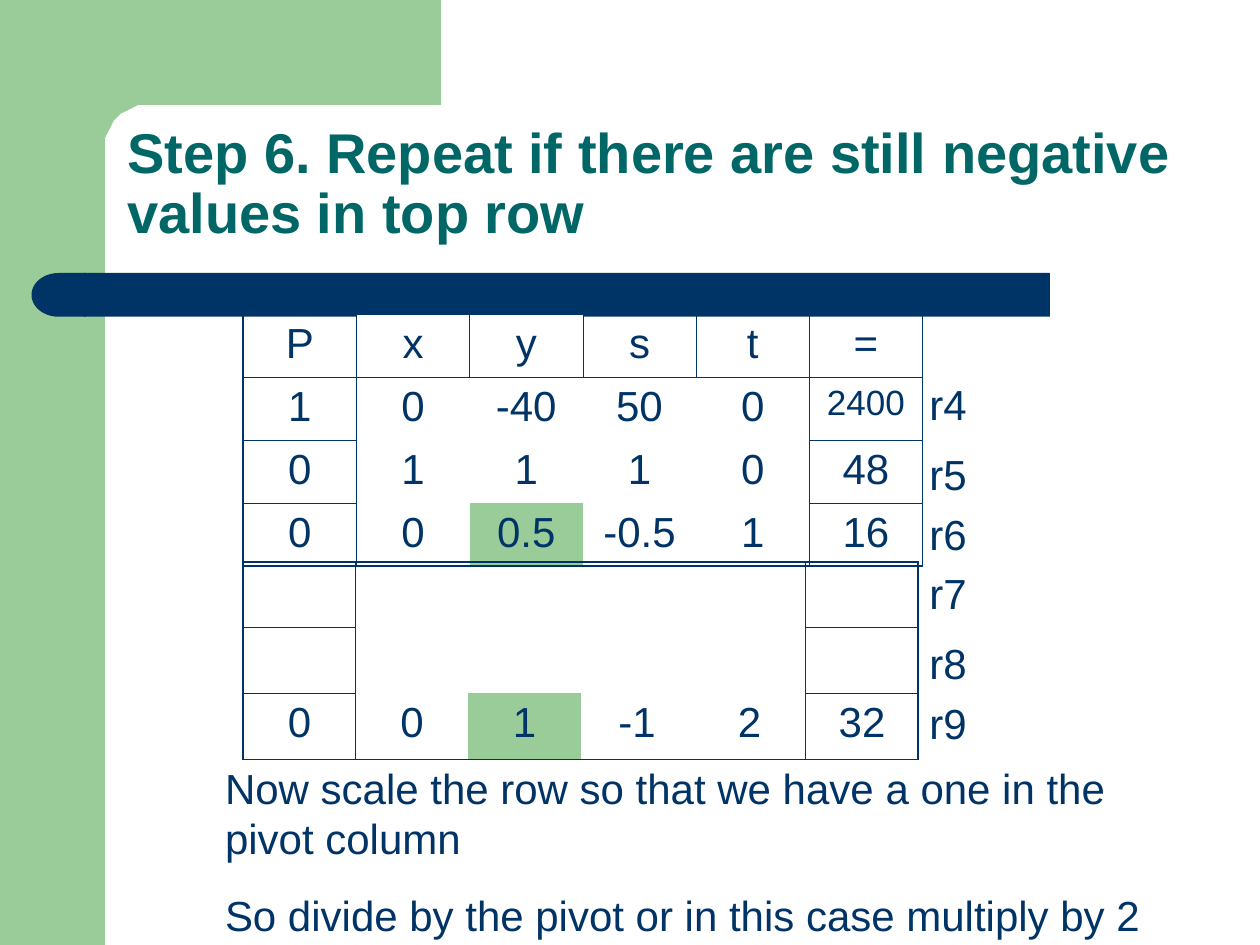
from math import cos, pi, sin

from lxml.etree import SubElement
from pptx import Presentation
from pptx.dml.color import RGBColor
from pptx.enum.shapes import MSO_SHAPE
from pptx.enum.text import MSO_ANCHOR, MSO_AUTO_SIZE, PP_ALIGN
from pptx.oxml.ns import qn
from pptx.util import Pt

GREEN = RGBColor(0x99, 0xCC, 0x99)
NAVY = RGBColor(0x00, 0x33, 0x66)
TEAL = RGBColor(0x00, 0x66, 0x66)
WHITE = RGBColor(0xFF, 0xFF, 0xFF)

THIN, THICK = 0.45, 1.08


def set_border(cell, side, width):
    """Draw one side ("L", "R", "T" or "B"); width 0 hides it."""
    ln = SubElement(cell._tc.get_or_add_tcPr(), qn(f"a:ln{side}"), w=str(Pt(width)))
    if width:
        fill = SubElement(ln, qn("a:solidFill"))
        SubElement(fill, qn("a:srgbClr"), val=str(NAVY))
    else:
        SubElement(ln, qn("a:noFill"))


def tableau_borders(r, c, last_row, last_col, header):
    """Thick frame, ruled header and outer columns, open middle."""
    heading = header and r == 0
    outer_col = c in (0, last_col)

    def pick(on_frame, ruled):
        return THICK if on_frame else THIN if ruled else 0

    return {
        "L": pick(c == 0, heading or c in (1, last_col)),
        "R": pick(c == last_col, heading or c in (0, last_col - 1)),
        "T": pick(r == 0, outer_col or (header and r == 1)),
        "B": pick(r == last_row, outer_col or heading),
    }


class SlideBuilder:
    font = "Arial"
    size = 24

    def __init__(self, slide):
        self.s = slide

    def style(self, p, size=None, color=NAVY, bold=False):
        p.font.name = self.font
        p.font.size = Pt(size or self.size)
        p.font.bold = bold
        p.font.color.rgb = color

    def paint(self, sp, color):
        sp.shadow.inherit = False
        sp.fill.solid()
        sp.fill.fore_color.rgb = color
        sp.line.fill.background()

    def shape(self, kind, x, y, w, h, color):
        sp = self.s.shapes.add_shape(kind, Pt(x), Pt(y), Pt(w), Pt(h))
        self.paint(sp, color)
        return sp

    def outline(self, points, color):
        builder = self.s.shapes.build_freeform(*points[0], scale=Pt(1))
        builder.add_line_segments(points[1:])
        self.paint(builder.convert_to_shape(), color)

    def title(self, text, x, y, w, h):
        sp = self.s.shapes.title
        sp.left, sp.top, sp.width, sp.height = Pt(x), Pt(y), Pt(w), Pt(h)
        tf = sp.text_frame
        tf.text = text
        tf.auto_size = MSO_AUTO_SIZE.NONE
        tf.vertical_anchor = MSO_ANCHOR.BOTTOM
        p = tf.paragraphs[0]
        p.alignment = PP_ALIGN.LEFT
        p.line_spacing = 0.9
        self.style(p, 32, TEAL, bold=True)

    def text(self, lines, x, y, w, h):
        tf = self.s.shapes.add_textbox(Pt(x), Pt(y), Pt(w), Pt(h)).text_frame
        tf.word_wrap = True
        tf.text = "\n".join(lines)
        for i, p in enumerate(tf.paragraphs):
            if i:
                p.space_before = Pt(15)
            self.style(p)

    def tableau(self, rows, x, y, w, h, fills, header=False, small=()):
        n_rows, n_cols = len(rows), len(rows[0])
        table = self.s.shapes.add_table(
            n_rows, n_cols, Pt(x), Pt(y), Pt(w), Pt(h)).table
        table.first_row = table.horz_banding = False
        for r, row in enumerate(rows):
            for c, value in enumerate(row):
                cell = table.cell(r, c)
                cell.text = value
                p = cell.text_frame.paragraphs[0]
                p.alignment = PP_ALIGN.CENTER
                self.style(p, 20 if (r, c) in small else None)
                borders = tableau_borders(r, c, n_rows - 1, n_cols - 1, header)
                for side, width in borders.items():
                    set_border(cell, side, width)
                if (r, c) in fills:
                    cell.fill.solid()
                    cell.fill.fore_color.rgb = fills[r, c]
                else:
                    cell.fill.background()


def main():
    prs = Presentation()
    prs.slide_width, prs.slide_height = Pt(720), Pt(540)
    b = SlideBuilder(prs.slides.add_slide(prs.slide_layouts[5]))

    b.shape(MSO_SHAPE.RECTANGLE, 0, 0, 60, 540, GREEN)
    steps = 16
    angles = [pi / 2 * i / steps for i in range(steps + 1)]
    corner = [(84 - 24 * sin(a), 84 - 24 * cos(a)) for a in angles]
    b.outline([(252, 0), (252, 60), *corner, (60, 92), (36, 92), (36, 0)], GREEN)
    b.shape(MSO_SHAPE.RECTANGLE, 48, 156, 552, 25, NAVY)
    b.shape(MSO_SHAPE.FLOWCHART_DELAY, 18, 156, 31, 25, NAVY).rotation = 180

    b.title("Step 6. Repeat if there are still negative values in top row",
            65.5, 65.5, 613, 78.5)

    b.tableau(
        [["P", "x", "y", "s", "t", "="],
         ["1", "0", "-40", "50", "0", "2400"],
         ["0", "1", "1", "1", "0", "48"],
         ["0", "0", "0.5", "-0.5", "1", "16"]],
        139, 179.5, 388.2, 144,
        fills={(0, 1): WHITE, (0, 2): WHITE, (3, 2): GREEN},
        header=True, small=[(1, 5)])
    b.text(["Now scale the row so that we have a one in the pivot column",
            "So divide by the pivot or in this case multiply by 2"],
           121.5, 432, 544.5, 108)
    b.tableau([[""] * 6, [""] * 6, ["0", "0", "1", "-1", "2", "32"]],
              139, 321, 385.8, 113, fills={(2, 2): GREEN})

    tops = [start + offset for start in (213, 321) for offset in (0, 40, 74)]
    for number, top in enumerate(tops, 4):
        b.text([f"r{number}"], 524, top, 51, 36)

    prs.save("out.pptx")


if __name__ == "__main__":
    main()
